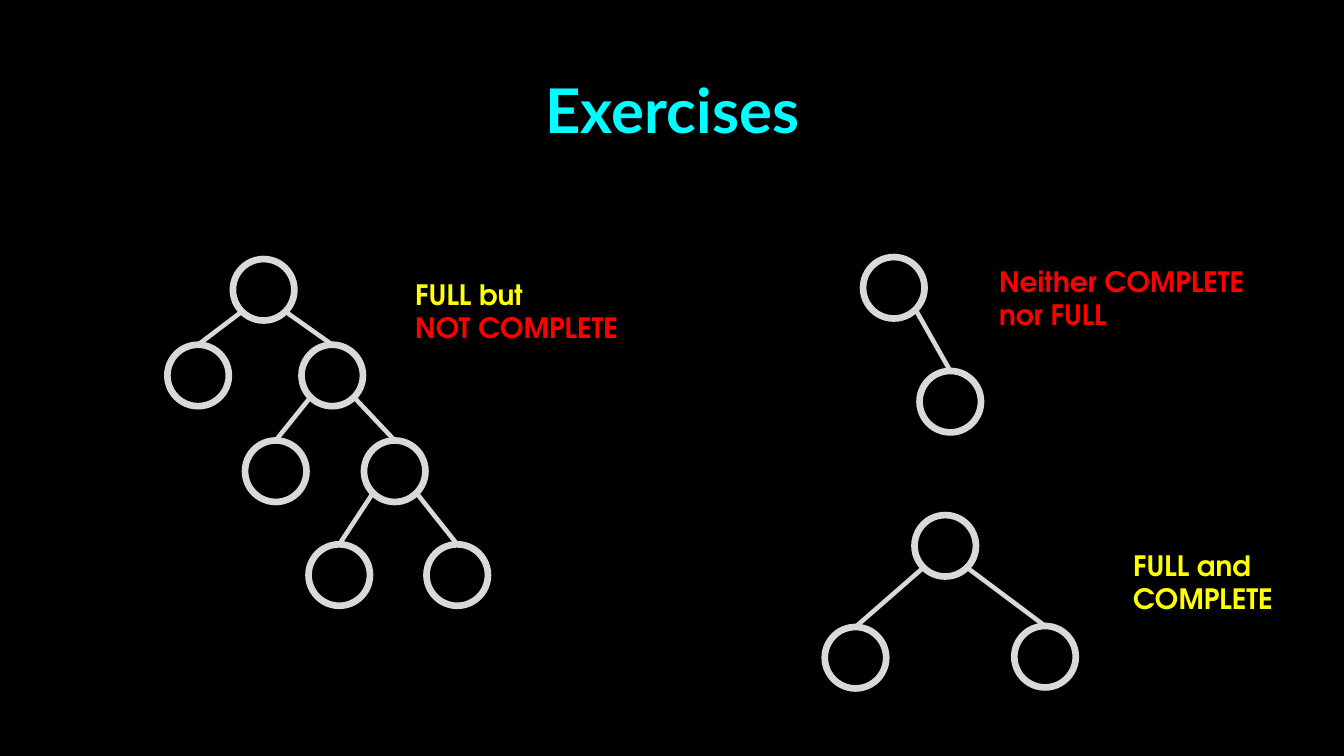
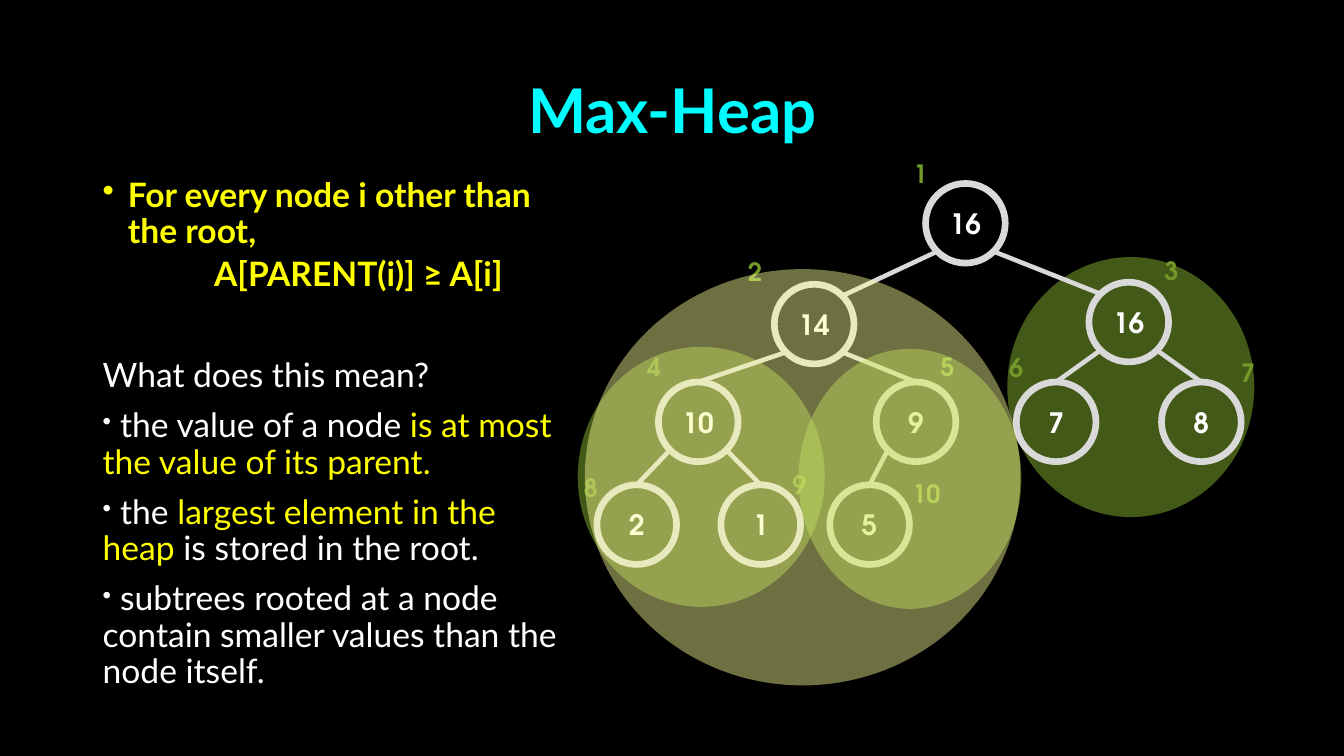
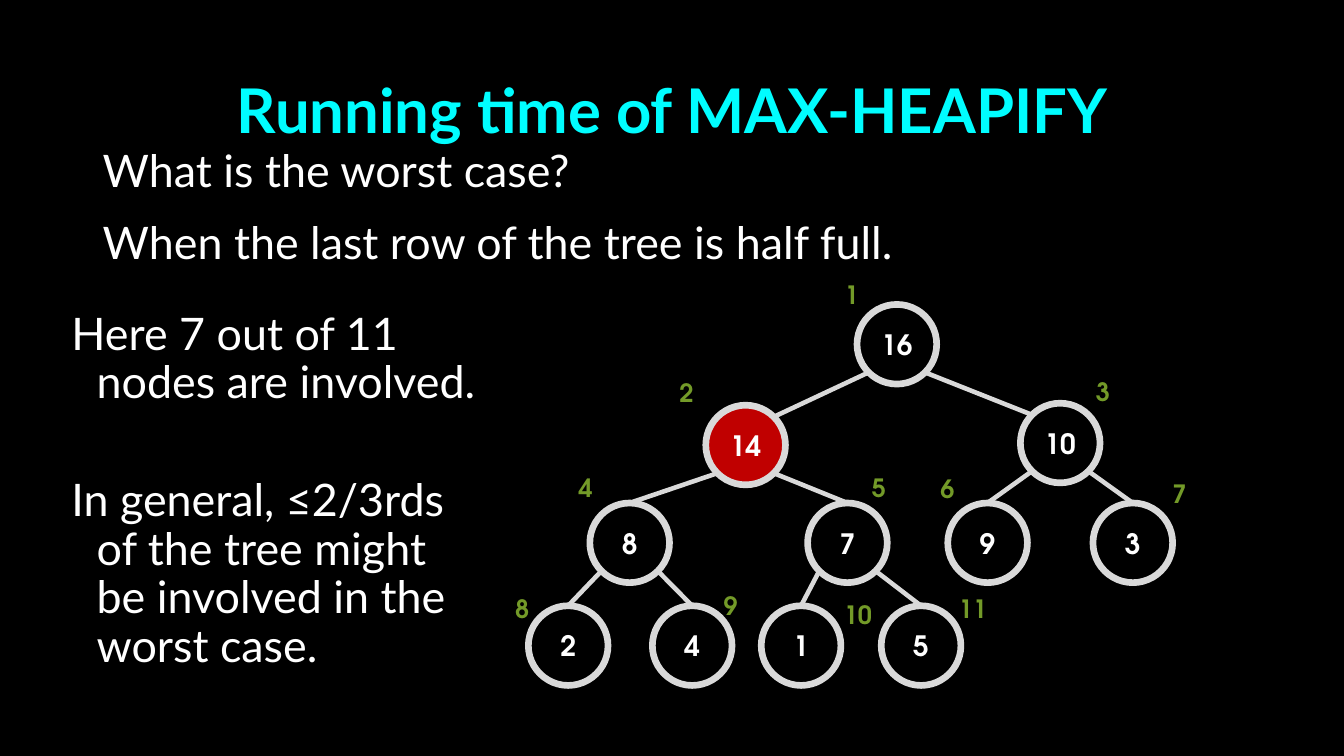
from dataclasses import dataclass
from math import sqrt

from lxml.etree import SubElement
from pptx import Presentation
from pptx.dml.color import RGBColor
from pptx.enum.shapes import MSO_CONNECTOR, MSO_SHAPE
from pptx.enum.text import MSO_ANCHOR, MSO_AUTO_SIZE, PP_ALIGN
from pptx.oxml.ns import qn
from pptx.util import Pt

SCALE = 9144  # EMU in one px, 100 px to the inch


@dataclass(frozen=True)
class Theme:
    back: str = "000000"
    title: str = "00FDFF"
    text: str = "FFFFFF"
    key: str = "FFFF00"
    alert: str = "FF0000"
    hot: str = "C00000"
    ring: str = "D9D9D9"
    index: str = "739A28"
    green: str = "99CB38"
    cream: str = "FDFF97"
    sans: str = "Lato"
    geo: str = "TeX Gyre Adventor"
    title_size: int = 44
    lead_size: int = 32
    body_size: int = 24
    node_size: int = 20
    index_size: int = 18
    ring_width: float = 4.75
    edge_width: float = 3.25
    alpha: int = 44


THEME = Theme()

# Left and top of each node, then of its index label
HEAP = [
    (918, 182, 896, 152),
    (768, 282, 732, 249), (1080, 280, 1145, 248),
    (653, 379, 632, 344), (869, 379, 923, 344),
    (1008, 379, 991, 345), (1152, 379, 1221, 350),
    (592, 481, 569, 464), (715, 481, 776, 461),
    (823, 481, 895, 470), (942, 481, 1009, 464),
]

# Left and top of each node, then the place of its parent in the list
UNEVEN = [(231, 257, None), (166, 342, 0), (299, 342, 0), (243, 437, 2),
          (361, 437, 2), (306, 540, 4), (423, 540, 4)]
PAIR = [(856, 255, None), (912, 368, 0)]
TRIO = [(907, 511, None), (818, 622, 0), (1006, 621, 0)]


def px(value):
    return round(value * SCALE)


def rgb(code):
    return RGBColor.from_string(code)


def write(frame, text, *, size, font=THEME.sans, color=THEME.text, bold=False,
          align=None, before=0, line=None, left=0, hang=0, bullet=None):
    """Add a paragraph; text is a string or a list of (string, colour).
    bullet is the size of the dot in percent."""
    para = frame.paragraphs[0]
    if para.runs:
        para = frame.add_paragraph()
    props = para._p.get_or_add_pPr()
    if left:
        props.set("marL", str(px(left)))
        props.set("indent", str(px(-hang)))
    if bullet:
        SubElement(props, qn("a:buSzPct"), val=str(bullet * 1000))
        SubElement(props, qn("a:buChar"), char="•")
    para.alignment = align
    para.space_before = Pt(before)
    if line:
        para.line_spacing = line
    for part, tint in [(text, color)] if isinstance(text, str) else text:
        run = para.add_run()
        run.text = part
        run.font.name = font
        run.font.size = Pt(size)
        run.font.bold = bold
        run.font.color.rgb = rgb(tint)


class Deck:
    def __init__(self, theme):
        self.theme = theme
        self.file = Presentation()
        self.file.slide_width = px(1333)
        self.file.slide_height = px(750)
        self.slide = None

    def start(self, title):
        self.slide = self.file.slides.add_slide(self.file.slide_layouts[6])
        fill = self.slide.background.fill
        fill.solid()
        fill.fore_color.rgb = rgb(self.theme.back)
        frame = self.box(92, 40, 1150, 145)
        frame.vertical_anchor = MSO_ANCHOR.MIDDLE
        write(frame, title, size=self.theme.title_size, color=self.theme.title,
              bold=True, align=PP_ALIGN.CENTER, line=0.9)

    def box(self, x, y, w, h, wrap=True, grow=False):
        shape = self.slide.shapes.add_textbox(px(x), px(y), px(w), px(h))
        frame = shape.text_frame
        frame.word_wrap = wrap
        if grow:
            frame.auto_size = MSO_AUTO_SIZE.SHAPE_TO_FIT_TEXT
        return frame

    def note(self, x, y, w, *lines):
        frame = self.box(x, y, w, 77, grow=True)
        for text, color in lines:
            write(frame, text, size=self.theme.node_size, font=self.theme.geo,
                  color=color, bold=True)

    def oval(self, x, y, w, h, fill=None):
        shape = self.slide.shapes.add_shape(
            MSO_SHAPE.OVAL, px(x), px(y), px(w), px(h))
        shape.shadow.inherit = False
        shape.line.fill.background()
        if fill:
            shape.fill.solid()
            shape.fill.fore_color.rgb = rgb(fill)
        else:
            shape.fill.background()
        return shape

    def halo(self, x, y, w, h, color):
        """Draw a see-through oval that marks a subtree."""
        shape = self.oval(x, y, w, h, color)
        tint = shape.fill._xPr.find(".//" + qn("a:srgbClr"))
        SubElement(tint, qn("a:alpha"), val=str(self.theme.alpha * 1000))

    def node(self, x, y, size, text="", fill=None):
        shape = self.oval(x, y, size, size, fill)
        shape.line.color.rgb = rgb(self.theme.ring)
        shape.line.width = Pt(self.theme.ring_width)
        if text:
            frame = shape.text_frame
            frame.vertical_anchor = MSO_ANCHOR.MIDDLE
            write(frame, text, size=self.theme.node_size, font=self.theme.geo,
                  bold=True, align=PP_ALIGN.CENTER)
        return shape

    def edge(self, parent, child, top=True):
        """Run from the parent's lower diagonal point to the child's top,
        or to the child's upper diagonal point that faces the parent."""
        side = 1 if child.left > parent.left else -1
        reach = parent.width / 2 / sqrt(2)

        def point(shape, across, down):
            return (round(shape.left + shape.width / 2 + across * reach),
                    round(shape.top + shape.height / 2 + down * reach))

        line = self.slide.shapes.add_connector(
            MSO_CONNECTOR.STRAIGHT, *point(parent, side, 1),
            *point(child, -side, -1))
        if top:
            line.end_connect(child, 0)
        line.line.color.rgb = rgb(self.theme.ring)
        line.line.width = Pt(self.theme.edge_width)
        SubElement(line._element.spPr, qn("a:effectLst"))

    def tree(self, spots):
        nodes = [self.node(x, y, 61) for x, y, _ in spots]
        for node, (_, _, up) in zip(nodes, spots):
            if up is not None:
                self.edge(nodes[up], node)

    def heap(self, values, dx=0, dy=0, fills=None):
        """Draw the array as a heap; fills maps an index to a colour."""
        fills = fills or {}
        nodes = {}
        for i, (value, spot) in enumerate(zip(values, HEAP), 1):
            nodes[i] = self.node(spot[0] + dx, spot[1] + dy, 79, str(value),
                                 fills.get(i))
        for i in range(2, len(nodes) + 1):
            self.edge(nodes[i // 2], nodes[i], top=i > 3)
        for i in nodes:
            x, y = HEAP[i - 1][2:]
            frame = self.box(x + dx, y + dy, 34 if i < 10 else 49, 40,
                             wrap=False, grow=True)
            write(frame, str(i), size=self.theme.index_size,
                  font=self.theme.geo, color=self.theme.index, bold=True)


def drill(deck):
    look = deck.theme
    deck.start("Exercises")
    for spots in (PAIR, UNEVEN, TRIO):
        deck.tree(spots)
    deck.note(402, 270, 250, ("FULL but", look.key),
              ("NOT COMPLETE", look.alert))
    deck.note(981, 257, 312, ("Neither COMPLETE", look.alert),
              ("nor FULL", look.alert))
    deck.note(1114, 539, 214, ("FULL and COMPLETE", look.key))


def rules(deck):
    look = deck.theme
    deck.start("Max-Heap")
    deck.halo(999, 255, 245, 258, look.green)
    frame = deck.box(92, 172, 477, 525)
    form = dict(size=look.body_size, line=0.9)
    write(frame, "For every node i other than the root,", color=look.key,
          bold=True, left=25, hang=25, bullet=100, **form)
    write(frame, "A[PARENT(i)] ≥ A[i]", color=look.key, bold=True,
          align=PP_ALIGN.CENTER, before=5, left=50, **form)
    write(frame, "What does this mean?", before=46, **form)
    points = [
        [(" the value of a node ", look.text),
         ("is at most the value of its parent.", look.key)],
        [(" the ", look.text), ("largest element in the heap", look.key),
         (" is stored in the root.", look.text)],
        " subtrees rooted at a node contain smaller values than the node "
        "itself.",
    ]
    for point in points:
        write(frame, point, before=10, bullet=75, **form)
    deck.halo(573, 344, 245, 258, look.green)
    deck.heap([16, 14, 16, 10, 9, 7, 8, 2, 1, 5], fills={5: look.back})
    deck.halo(792, 346, 221, 258, look.green)
    deck.halo(580, 267, 432, 413, look.cream)


def cost(deck):
    look = deck.theme
    deck.start("Running time of MAX-HEAPIFY")
    form = dict(size=look.lead_size, line=0.9)
    for y, text in ((143, "What is the worst case?"),
                    (214, "When the last row of the tree is half full.")):
        write(deck.box(92, y, 1074, 120), text, **form)
    frame = deck.box(61, 304, 428, 379)
    write(frame, "Here 7 out of 11 nodes are involved.", left=25, hang=25,
          **form)
    write(frame, "In general, ≤2/3rds of the tree might be involved in the "
          "worst case.", before=50, left=25, hang=25, **form)
    deck.heap([16, 14, 10, 8, 7, 9, 3, 2, 4, 1, 5], dx=-68, dy=120,
              fills={2: look.hot})


def main():
    deck = Deck(THEME)
    for build in (drill, rules, cost):
        build(deck)
    deck.file.save("out.pptx")


if __name__ == "__main__":
    main()
